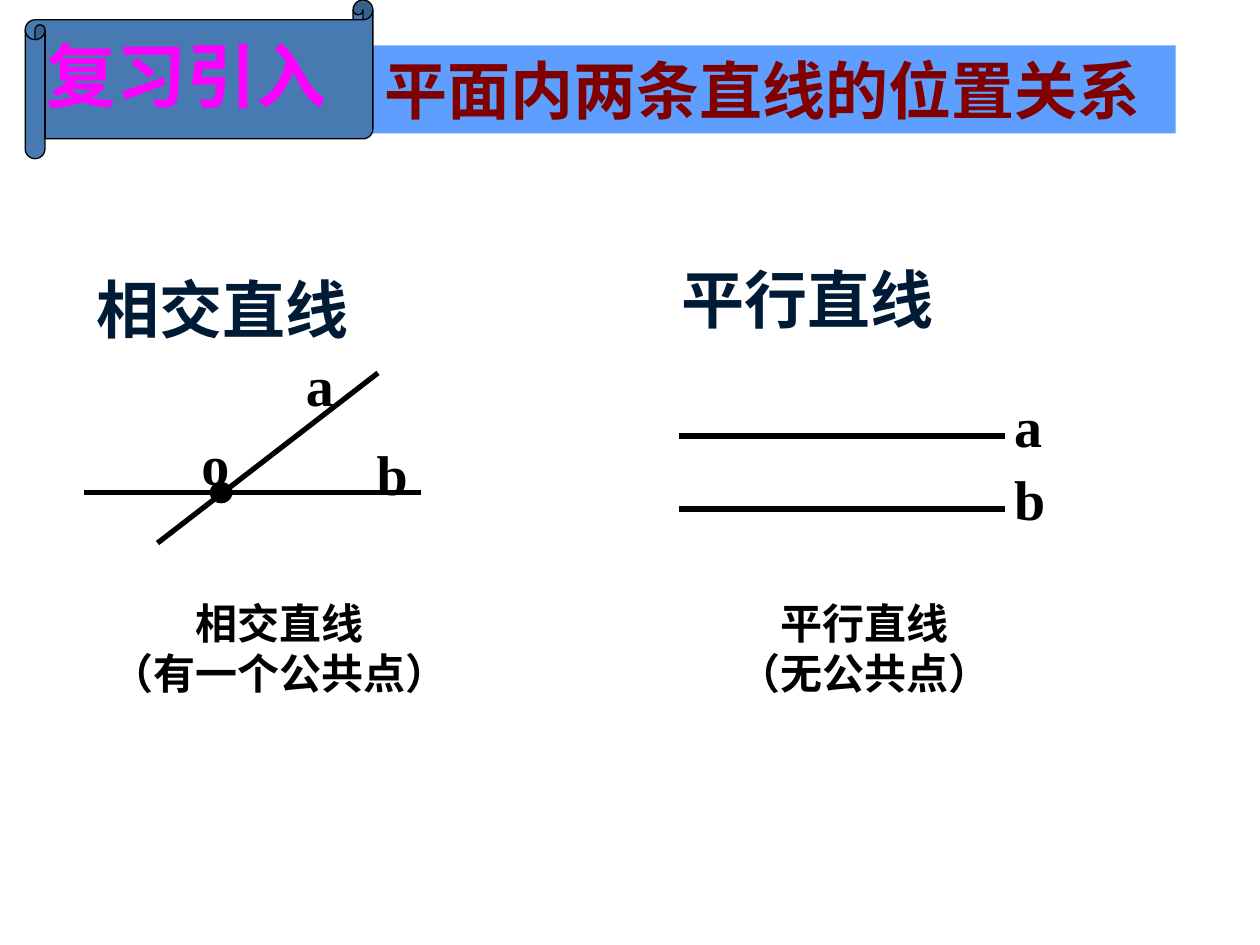
from dataclasses import dataclass

from lxml.etree import SubElement
from pptx import Presentation
from pptx.dml.color import RGBColor
from pptx.enum.shapes import MSO_CONNECTOR as Connector, MSO_SHAPE as Preset
from pptx.enum.text import MSO_ANCHOR as Anchor, MSO_AUTO_SIZE as AutoSize, PP_ALIGN as Align
from pptx.oxml.ns import qn
from pptx.util import Inches, Pt

COLUMNS, ROWS = 100, 75
SLIDE_WIDTH, SLIDE_HEIGHT = Inches(10), Inches(7.5)


@dataclass(frozen=True)
class Theme:
    """Colours, fonts and type sizes of the slide."""
    ink: str = "000000"
    heading: str = "001B36"
    title: str = "800000"
    title_band: str = "5E9EFF"
    badge: str = "FF00FF"
    scroll: str = "477AB1"
    serif: str = "Times New Roman"
    sans: str = "Arial"
    badge_size: int = 40
    heading_size: int = 36
    label_size: int = 32
    caption_size: int = 24
    thin: float = 0.75
    thick: float = 3


THEME = Theme()


@dataclass(frozen=True)
class Box:
    """A region measured in grid columns and rows."""
    left: float
    top: float
    width: float
    height: float

    def inner(self, left, top, width, height):
        """Return a box placed relative to this one."""
        return Box(self.left + left, self.top + top, width, height)

    def point(self, column, row):
        """Return slide coordinates of a point relative to this box."""
        return (round((self.left + column) * SLIDE_WIDTH / COLUMNS),
                round((self.top + row) * SLIDE_HEIGHT / ROWS))

    def frame(self):
        """Return left, top, width and height in slide units."""
        return (*self.point(0, 0), *Box(0, 0, 0, 0).point(self.width, self.height))


def write(shape, lines, size, color, font=THEME.serif, align=Align.LEFT, wrap=True):
    """Fill a shape with bold paragraphs of one style."""
    text_frame = shape.text_frame
    text_frame.word_wrap = wrap
    text_frame.auto_size = AutoSize.SHAPE_TO_FIT_TEXT
    text_frame.vertical_anchor = Anchor.TOP
    text_frame.text = "\n".join(lines)
    for paragraph in text_frame.paragraphs:
        paragraph.alignment = align
        paragraph.font.name = font
        paragraph.font.size = Pt(size)
        paragraph.font.bold = True
        paragraph.font.color.rgb = RGBColor.from_string(color)


def add_text(shapes, box, lines, size, color, **style):
    """Add a text box."""
    write(shapes.add_textbox(*box.frame()), lines, size, color, **style)


def add_filled(shapes, preset, box, fill, line=None):
    """Add a flat preset shape with an optional thin outline."""
    shape = shapes.add_shape(preset, *box.frame())
    shape.shadow.inherit = False
    shape.fill.solid()
    shape.fill.fore_color.rgb = RGBColor.from_string(fill)
    if line:
        shape.line.color.rgb = RGBColor.from_string(line)
        shape.line.width = Pt(THEME.thin)
    else:
        shape.line.fill.background()
    return shape


def add_line(shapes, box, start, end):
    """Draw a thick straight line between two points of a box."""
    line = shapes.add_connector(Connector.STRAIGHT, *box.point(*start), *box.point(*end))
    line.line.color.rgb = RGBColor.from_string(THEME.ink)
    line.line.width = Pt(THEME.thick)
    SubElement(line._element.spPr, qn("a:effectLst"))


def add_label(shapes, box, letter, column, row):
    """Name a line or point with one letter."""
    add_text(shapes, box.inner(column, row, 4.2, 6.4), [letter],
             THEME.label_size, THEME.ink, wrap=False)


def add_heading(shapes, box, text):
    """Add the heading of a panel."""
    add_text(shapes, box, [text], THEME.heading_size, THEME.heading)


def add_caption(shapes, box, lines):
    """Add the centred caption at the foot of a panel."""
    add_text(shapes, box.inner(0, box.height - 9, box.width, 9), lines,
             THEME.caption_size, THEME.ink, align=Align.CENTER)


def build_title(slide, box):
    """Place the title band."""
    band = add_filled(slide.shapes, Preset.RECTANGLE, box, THEME.title_band)
    write(band, ["平面内两条直线的位置关系"], THEME.heading_size, THEME.title)


def build_badge(slide, box):
    """Place the scroll with the section name."""
    scroll = add_filled(slide.shapes, Preset.HORIZONTAL_SCROLL, box, THEME.scroll, THEME.ink)
    scroll.adjustments[0] = 0.125
    add_text(slide.shapes, box.inner(0.7, 2.1, 28.3, 7.7), ["复习引入"],
             THEME.badge_size, THEME.badge, font=THEME.sans)


def build_intersecting(slide, box):
    """Place the panel of two lines meeting at a point."""
    shapes = slide.shapes.add_group_shape().shapes
    add_heading(shapes, box.inner(4.7, 0.8, 24.4, 7), "相交直线")
    add_caption(shapes, box, ["相交直线", "（有一个公共点）"])
    add_line(shapes, box, (4.7, 18.9), (31.4, 18.9))
    add_line(shapes, box, (10.5, 22.9), (28, 9.4))
    for letter, column, row in (("a", 21.3, 7.1), ("b", 26.9, 14.2), ("o", 13, 13.4)):
        add_label(shapes, box, letter, column, row)
    add_filled(shapes, Preset.OVAL, box.inner(14.7, 18.1, 1.7, 1.6), THEME.ink, THEME.ink)


def build_parallel(slide, box):
    """Place the panel of two parallel lines."""
    shapes = slide.shapes.add_group_shape().shapes
    add_heading(shapes, box.inner(0, 0, 29.8, 7), "平行直线")
    add_caption(shapes, box, ["平行直线", "（无公共点）"])
    for letter, row in (("a", 14.4), ("b", 20.2)):
        add_line(shapes, box, (0.8, row), (26.7, row))
        add_label(shapes, box, letter, 26.4, row - 4)


def main():
    """Build the slide and save it."""
    presentation = Presentation()
    presentation.slide_width, presentation.slide_height = SLIDE_WIDTH, SLIDE_HEIGHT
    slide = presentation.slides.add_slide(presentation.slide_layouts[6])
    build_title(slide, Box(29.5, 3.6, 63.8, 7))
    build_intersecting(slide, Box(2, 20.2, 40.3, 35.7))
    build_parallel(slide, Box(53.1, 20.2, 31.1, 35.7))
    build_badge(slide, Box(2, 0, 27.6, 12.6))
    presentation.save("out.pptx")


if __name__ == "__main__":
    main()
